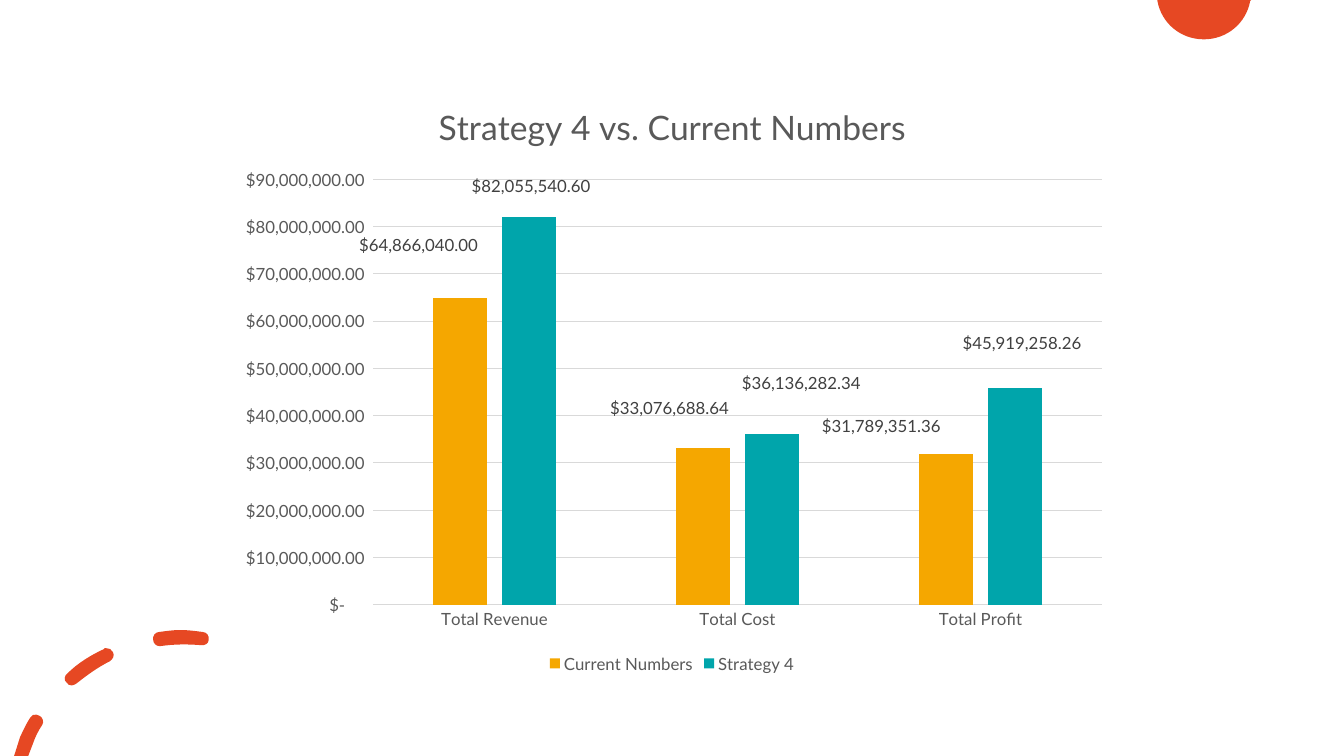
from lxml import etree
from pptx import Presentation
from pptx.chart.data import CategoryChartData
from pptx.dml.color import RGBColor
from pptx.enum.chart import XL_CHART_TYPE as ChartType
from pptx.enum.chart import XL_LABEL_POSITION as LabelPosition
from pptx.enum.chart import XL_LEGEND_POSITION as LegendPosition
from pptx.enum.chart import XL_TICK_MARK as TickMark
from pptx.oxml.ns import qn
from pptx.util import Inches, Pt

FONT = "Lato"
RED = RGBColor(0xE6, 0x48, 0x23)
AMBER = RGBColor(0xF5, 0xA7, 0x00)
TEAL = RGBColor(0x00, 0xA5, 0xAB)
TEXT_GREY = RGBColor(0x59, 0x59, 0x59)
LABEL_GREY = RGBColor(0x40, 0x40, 0x40)
LINE_GREY = RGBColor(0xD9, 0xD9, 0xD9)

TITLE = "Strategy 4 vs. Current Numbers"
CATEGORIES = ["Total Revenue", "Total Cost", "Total Profit"]
# name, colour, values, label shifts in inches
SERIES = [
    ("Current Numbers", AMBER, (64866040, 33076688.64, 31789351.36),
     ((-0.41, -0.39), (-0.33, -0.27), (-0.64, -0.15))),
    ("Strategy 4", TEAL, (82055540.6, 36136282.34, 45919258.26),
     ((0.02, -0.17), (0.29, -0.37), (0.07, -0.31))),
]
MONEY = '_("$"* #,##0.00_);_("$"* \\(#,##0.00\\);_("$"* "-"??_);_(@_)'

CHART_BOX = (2.22, 0.79, 8.89, 5.93)
PLOT_BOX = (3.7, 1.78, 7.23, 4.22)
TITLE_AT = (4.29, 0.96)

# Outlines in inches: a pair is a straight step, six numbers are a curve
TOP_DISC = [[
    (11.48, 0), (12.41, 0), (12.4, 0.01),
    (12.36, 0.23, 12.17, 0.39, 11.94, 0.39),
    (11.71, 0.39, 11.52, 0.23, 11.48, 0.01),
]]
CORNER_DASHES = [
    [(0.36, 7.09), (0.34, 7.08, 0.31, 7.1, 0.3, 7.12),
     (0.26, 7.18, 0.23, 7.25, 0.2, 7.31), (0.14, 7.5), (0.28, 7.5),
     (0.33, 7.37), (0.35, 7.31, 0.38, 7.25, 0.42, 7.19),
     (0.44, 7.16, 0.42, 7.11, 0.39, 7.1),
     (0.38, 7.09, 0.37, 7.09, 0.36, 7.09)],
    [(1.05, 6.43), (1.04, 6.43, 1.03, 6.43, 1.03, 6.44),
     (0.9, 6.5, 0.77, 6.58, 0.67, 6.68),
     (0.64, 6.7, 0.63, 6.75, 0.66, 6.77),
     (0.67, 6.79, 0.69, 6.8, 0.71, 6.8), (0.71, 6.8),
     (0.73, 6.8, 0.74, 6.79, 0.76, 6.78),
     (0.86, 6.7, 0.97, 6.62, 1.09, 6.56),
     (1.12, 6.54, 1.14, 6.5, 1.12, 6.47),
     (1.11, 6.44, 1.08, 6.43, 1.05, 6.43)],
    [(1.79, 6.25), (1.72, 6.25, 1.65, 6.26, 1.58, 6.27),
     (1.54, 6.27, 1.51, 6.31, 1.52, 6.35),
     (1.52, 6.38, 1.55, 6.41, 1.58, 6.41),
     (1.59, 6.41, 1.59, 6.41, 1.59, 6.41),
     (1.73, 6.39, 1.86, 6.39, 1.99, 6.4),
     (2.03, 6.41, 2.07, 6.38, 2.07, 6.35),
     (2.08, 6.31, 2.05, 6.27, 2.01, 6.27),
     (2.01, 6.27, 2.01, 6.27, 2.01, 6.27),
     (1.94, 6.26, 1.86, 6.25, 1.79, 6.25)],
]


def to_emu(x, y):
    return Inches(x), Inches(y)


def bend_curves(shape, outlines):
    """Turn the straight segments of curved steps into Bezier segments."""
    segments = list(shape._element.iter(qn("a:lnTo")))
    steps = [step for outline in outlines for step in outline[1:]]
    for segment, step in zip(segments, steps):
        if len(step) == 2:
            continue
        segment.tag = qn("a:cubicBezTo")
        for index in (0, 1):
            x, y = to_emu(*step[2 * index:2 * index + 2])
            point = etree.Element(qn("a:pt"))
            point.set("x", str(x - shape.left))
            point.set("y", str(y - shape.top))
            segment.insert(index, point)


def add_decoration(slide, outlines):
    builder = slide.shapes.build_freeform(*to_emu(*outlines[0][0]))
    for number, outline in enumerate(outlines):
        if number:
            builder.move_to(*to_emu(*outline[0]))
        ends = [to_emu(*step[-2:]) for step in outline[1:]]
        # Closing adds a straight segment only where the ends differ
        builder.add_line_segments(ends, close=False)
    shape = builder.convert_to_shape()
    bend_curves(shape, outlines)
    shape.shadow.inherit = False
    shape.fill.solid()
    shape.fill.fore_color.rgb = RED
    shape.line.fill.background()


def style_font(font, size, color):
    font.name = FONT
    font.size = Pt(size)
    font.bold = False
    font.color.rgb = color


def style_line(line):
    line.color.rgb = LINE_GREY
    line.width = Pt(0.75)


def set_layout(parent, index, **settings):
    """Give a chart part a manual layout as its child at index."""
    for old in parent.findall(qn("c:layout")):
        parent.remove(old)
    layout = etree.Element(qn("c:layout"))
    manual = etree.SubElement(layout, qn("c:manualLayout"))
    for name, value in settings.items():
        etree.SubElement(manual, qn("c:" + name)).set("val", str(value))
    parent.insert(index, layout)


def style_series(series, color, shifts):
    series.format.fill.solid()
    series.format.fill.fore_color.rgb = color
    series.invert_if_negative = False
    labels = series.data_labels
    labels.show_value = True
    labels.position = LabelPosition.OUTSIDE_END
    labels.number_format = MONEY
    labels.number_format_is_linked = False
    style_font(labels.font, 12, LABEL_GREY)
    for leader in labels._element.findall(qn("c:showLeaderLines")):
        leader.set("val", "0")
    _, _, width, height = CHART_BOX
    for index, (x, y) in enumerate(shifts):
        label = series.points[index].data_label
        label.position = LabelPosition.OUTSIDE_END
        style_font(label.font, 12, LABEL_GREY)
        element = labels._element.findall(qn("c:dLbl"))[index]
        set_layout(element, 1, x=x / width, y=y / height)


def add_comparison_chart(slide):
    left, top, width, height = CHART_BOX
    data = CategoryChartData(number_format=MONEY)
    data.categories = CATEGORIES
    for name, _, values, _ in SERIES:
        data.add_series(name, values)
    chart = slide.shapes.add_chart(
        ChartType.COLUMN_CLUSTERED, *map(Inches, CHART_BOX), data).chart
    style_font(chart.font, 10, TEXT_GREY)

    chart.has_title = True
    title = chart.chart_title
    run = title.text_frame.paragraphs[0].add_run()
    run.text = TITLE
    style_font(run.font, 24, TEXT_GREY)
    title.include_in_layout = False
    title_left, title_top = TITLE_AT
    set_layout(title._element, 1, xMode="edge", yMode="edge",
               x=(title_left - left) / width, y=(title_top - top) / height)

    chart.has_legend = True
    chart.legend.position = LegendPosition.BOTTOM
    chart.legend.include_in_layout = False
    style_font(chart.legend.font, 12, TEXT_GREY)

    for axis in (chart.category_axis, chart.value_axis):
        axis.major_tick_mark = axis.minor_tick_mark = TickMark.NONE
        style_font(axis.tick_labels.font, 12, TEXT_GREY)
    style_line(chart.category_axis.format.line)
    value_axis = chart.value_axis
    value_axis.minimum_scale, value_axis.maximum_scale = 0, 90000000
    value_axis.major_unit = 10000000
    value_axis.format.line.fill.background()
    value_axis.has_major_gridlines = True
    style_line(value_axis.major_gridlines.format.line)
    value_axis.tick_labels.number_format = MONEY
    value_axis.tick_labels.number_format_is_linked = False

    plot = chart.plots[0]
    plot.gap_width, plot.overlap = 219, -27
    plot.vary_by_categories = False
    for series, (_, color, _, shifts) in zip(plot.series, SERIES):
        style_series(series, color, shifts)

    plot_left, plot_top, plot_width, plot_height = PLOT_BOX
    set_layout(plot._element.getparent(), 0,
               layoutTarget="inner", xMode="edge", yMode="edge",
               x=(plot_left - left) / width, y=(plot_top - top) / height,
               w=plot_width / width, h=plot_height / height)


def main():
    presentation = Presentation()
    presentation.slide_width, presentation.slide_height = to_emu(13.33, 7.5)
    slide = presentation.slides.add_slide(presentation.slide_layouts[6])
    for outlines in (TOP_DISC, CORNER_DASHES):
        add_decoration(slide, outlines)
    add_comparison_chart(slide)
    presentation.save("out.pptx")


if __name__ == "__main__":
    main()
